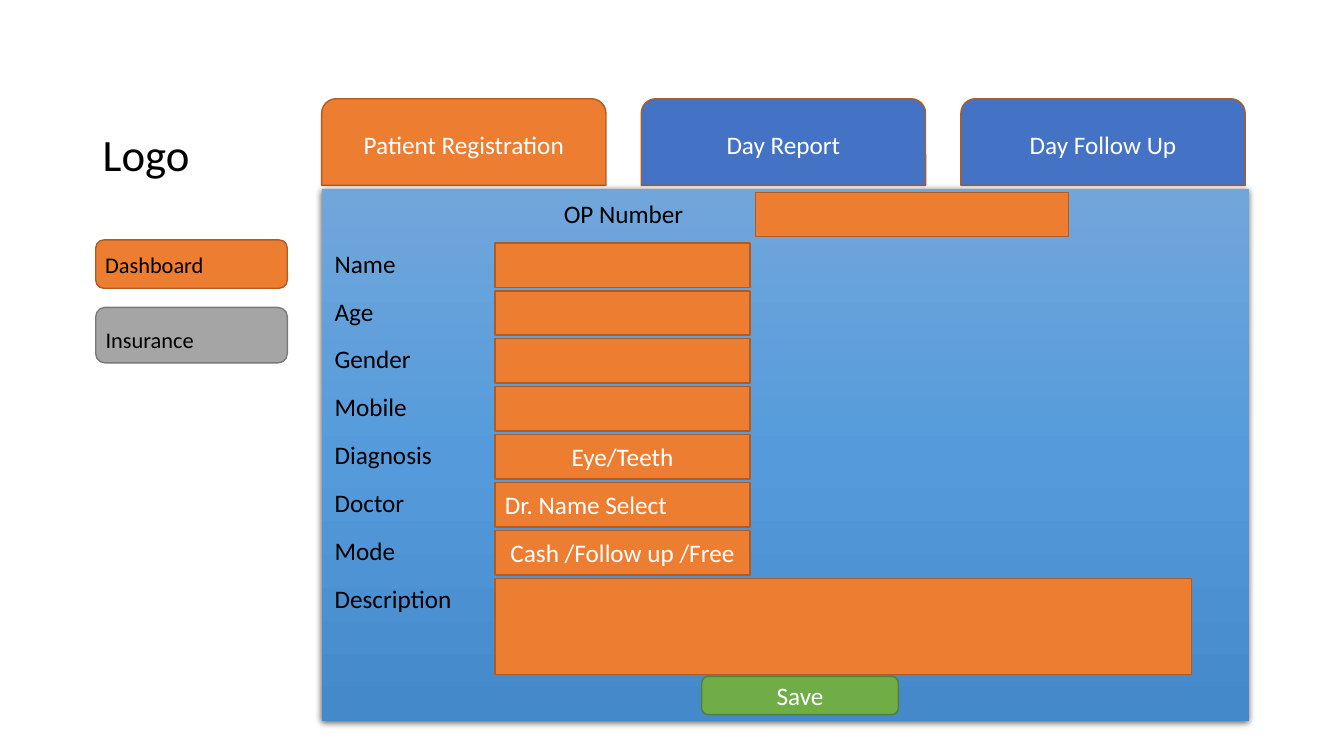
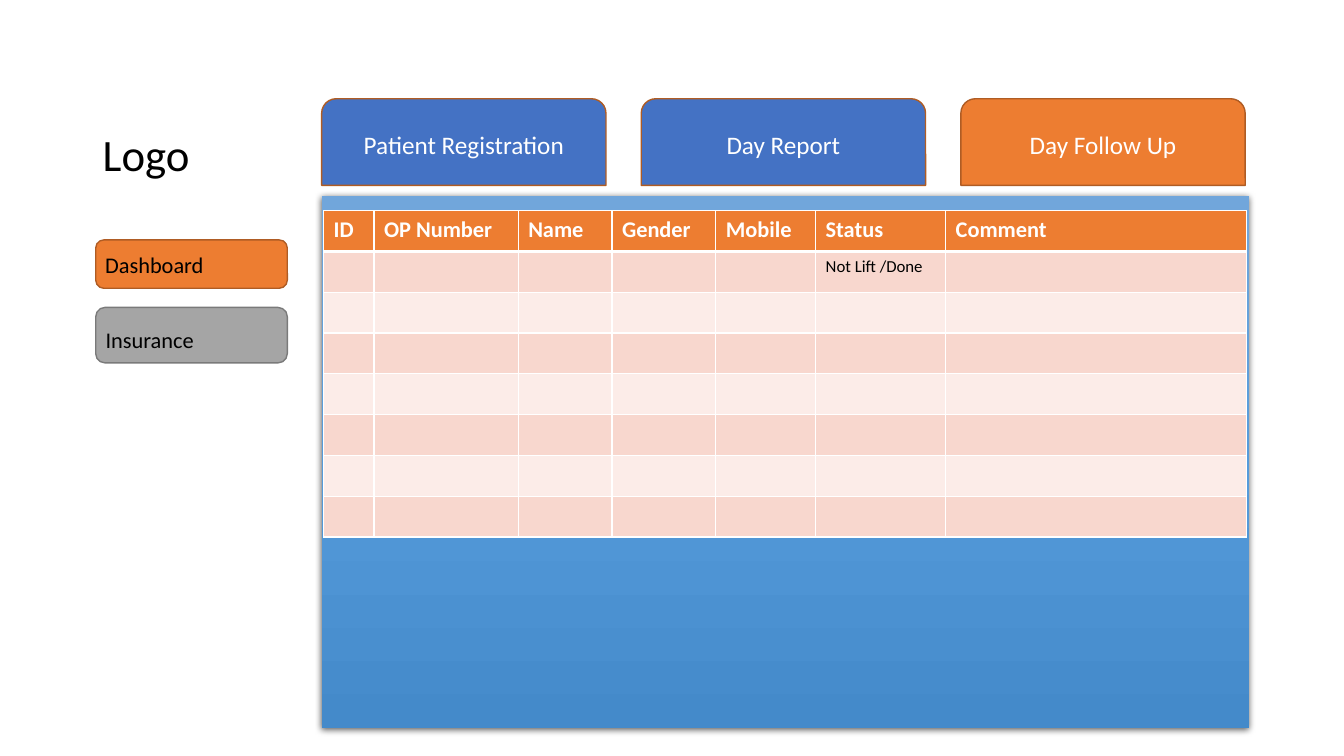
import pptx
import pptx.util
import pptx.dml.color
import pptx.enum.shapes
import pptx.enum.text
import pptx.oxml
import pptx.oxml.ns
from lxml import etree

Inches = pptx.util.Inches
Pt = pptx.util.Pt
SHAPES = pptx.enum.shapes.MSO_SHAPE
ALIGN = pptx.enum.text.PP_ALIGN
ANCHOR = pptx.enum.text.MSO_ANCHOR

FONT = "Calibri"
BLACK, WHITE = "000000", "FFFFFF"
ORANGE, ORANGE_EDGE = "ED7D31", "AF5C24"
BLUE = "4472C4"
GRAY, GRAY_EDGE = "A5A5A5", "7A7A7A"
GREEN, GREEN_EDGE = "70AD47", "538035"
PANEL_STOPS = [(0, "71A6DB"), (50, "559BDB"), (100, "448ACA")]
BAND_FILLS = ["F8D7CE", "FCECE8"]

LOGO = "Logo"
TABS = ["Patient Registration", "Day Report", "Day Follow Up"]
MENU = [
    ("Dashboard", 2.38, 0.48, ORANGE, ORANGE_EDGE, 0.05),
    ("Insurance", 3.05, 0.55, GRAY, GRAY_EDGE, 0.14),
]
FIELDS = [
    ("Name", "", ALIGN.CENTER),
    ("Age", "", ALIGN.CENTER),
    ("Gender", "", ALIGN.CENTER),
    ("Mobile", "", ALIGN.CENTER),
    ("Diagnosis", "Eye/Teeth", ALIGN.CENTER),
    ("Doctor", "Dr. Name Select", ALIGN.LEFT),
    ("Mode", "Cash /Follow up /Free", ALIGN.CENTER),
    ("Description", "", ALIGN.CENTER),
]
FOLLOW_UP_COLUMNS = [
    ("ID", 0.5), ("OP Number", 1.43), ("Name", 0.93), ("Gender", 1.03),
    ("Mobile", 0.99), ("Status", 1.29), ("Comment", 2.98),
]
FOLLOW_UP_ROWS = [{"Status": "Not Lift /Done"}] + [{} for _ in range(6)]

PANEL_LEFT, PANEL_WIDTH, PANEL_HEIGHT = 3.19, 9.2, 5.28
TAB_TOP, TAB_WIDTH, TAB_HEIGHT, TAB_PITCH = 0.98, 2.82, 0.86, 3.17
FIELD_TOP, FIELD_PITCH = 2.41, 3.33 / 7
TABLE_TOP, TABLE_HEIGHT = 2.09, 3.24


def color(value):
    return pptx.dml.color.RGBColor.from_string(value)


def write(frame, text, size=18, ink=WHITE, bold=False, align=ALIGN.LEFT):
    paragraph = frame.paragraphs[0]
    paragraph.alignment = align
    paragraph.font.size = Pt(size)
    if text:
        run = paragraph.add_run()
        run.text = text
        run.font.name = FONT
        run.font.size = Pt(size)
        run.font.bold = bold
        run.font.color.rgb = color(ink)


def add_label(slide, text, left, top, width, height, anchor=ANCHOR.TOP, **style):
    label = slide.shapes.add_textbox(Inches(left), Inches(top), Inches(width), Inches(height))
    label.text_frame.word_wrap = True
    label.text_frame.vertical_anchor = anchor
    write(label.text_frame, text, ink=BLACK, **style)


def add_box(slide, kind, left, top, width, height, fill=ORANGE, edge=ORANGE_EDGE,
            text="", align=ALIGN.CENTER, **style):
    box = slide.shapes.add_shape(kind, Inches(left), Inches(top), Inches(width), Inches(height))
    box.shadow.inherit = False
    box.fill.solid()
    box.fill.fore_color.rgb = color(fill)
    box.line.color.rgb = color(edge)
    box.line.width = Pt(1)
    box.text_frame.vertical_anchor = ANCHOR.MIDDLE
    write(box.text_frame, text, align=align, **style)
    return box


def add_panel(slide, top):
    panel = slide.shapes.add_shape(SHAPES.RECTANGLE, Inches(PANEL_LEFT), Inches(top),
                                   Inches(PANEL_WIDTH), Inches(PANEL_HEIGHT))
    panel.line.fill.background()
    panel.fill.gradient()
    panel.fill.gradient_angle = 270
    properties = panel._element.spPr
    stops = properties.find(".//" + pptx.oxml.ns.qn("a:gsLst"))
    for stop in list(stops):
        stops.remove(stop)
    for position, tint in PANEL_STOPS:
        stop = etree.SubElement(stops, pptx.oxml.ns.qn("a:gs"), pos=str(position * 1000))
        etree.SubElement(stop, pptx.oxml.ns.qn("a:srgbClr"), val=tint)
    panel.shadow.inherit = False
    effects = properties.find(pptx.oxml.ns.qn("a:effectLst"))
    shadow = etree.SubElement(effects, pptx.oxml.ns.qn("a:outerShdw"), blurRad=str(Pt(4.5)),
                              dist=str(Pt(1.5)), dir="5400000", algn="ctr", rotWithShape="0")
    shade = etree.SubElement(shadow, pptx.oxml.ns.qn("a:srgbClr"), val=BLACK)
    etree.SubElement(shade, pptx.oxml.ns.qn("a:alpha"), val="63000")


def add_screen(deck, active_tab, panel_top):
    slide = deck.slides.add_slide(deck.slide_layouts[6])
    for text, top, height, fill, edge, inset_top in MENU:
        button = add_box(slide, SHAPES.ROUNDED_RECTANGLE, 0.95, top, 1.9, height, fill, edge,
                         text, ALIGN.LEFT, size=16, ink=BLACK)
        button.text_frame.margin_left = Inches(0.07)
        button.text_frame.margin_top = Inches(inset_top)
    add_label(slide, LOGO, 0.92, 1.08, 2.05, 0.76, ANCHOR.BOTTOM, size=32)
    for index, text in enumerate(TABS):
        add_box(slide, SHAPES.ROUND_2_SAME_RECTANGLE, PANEL_LEFT + index * TAB_PITCH, TAB_TOP,
                TAB_WIDTH, TAB_HEIGHT, ORANGE if text == active_tab else BLUE, text=text)
    add_panel(slide, panel_top)
    return slide


def add_registration_form(slide):
    add_box(slide, SHAPES.RECTANGLE, 7.49, 1.91, 3.11, 0.44)
    add_label(slide, "OP Number", 5.22, 1.92, 1.93, 0.4, align=ALIGN.CENTER)
    for index, (name, value, align) in enumerate(FIELDS):
        top = FIELD_TOP + index * FIELD_PITCH
        width, height = (6.91, 0.95) if name == "Description" else (2.53, 0.44)
        add_box(slide, SHAPES.RECTANGLE, 4.91, top, width, height, text=value, align=align)
        add_label(slide, name, 3.22, top, 1.39, 0.4)
    add_box(slide, SHAPES.ROUNDED_RECTANGLE, 6.96, 6.71, 1.95, 0.38, GREEN, GREEN_EDGE, "Save")


def set_borders(cell, **widths):
    properties = cell._tc.get_or_add_tcPr()
    for side in "LRTB":
        line = etree.SubElement(properties, pptx.oxml.ns.qn("a:ln" + side),
                                w=str(Pt(widths.get(side, 1))))
        fill = etree.SubElement(line, pptx.oxml.ns.qn("a:solidFill"))
        etree.SubElement(fill, pptx.oxml.ns.qn("a:srgbClr"), val=WHITE)


def fill_cell(cell, fill, text, **style):
    cell.fill.solid()
    cell.fill.fore_color.rgb = color(fill)
    write(cell.text_frame, text, **style)


def add_follow_up_table(slide):
    row_count = len(FOLLOW_UP_ROWS) + 1
    width = sum(column_width for _, column_width in FOLLOW_UP_COLUMNS)
    table = slide.shapes.add_table(row_count, len(FOLLOW_UP_COLUMNS), Inches(3.21),
                                   Inches(TABLE_TOP), Inches(width), Inches(TABLE_HEIGHT)).table
    for row in table.rows:
        row.height = Inches(TABLE_HEIGHT / row_count)
    for column, (heading, column_width) in enumerate(FOLLOW_UP_COLUMNS):
        table.columns[column].width = Inches(column_width)
        header = table.cell(0, column)
        set_borders(header, B=3)
        fill_cell(header, ORANGE, heading, size=16, bold=True)
        for index, record in enumerate(FOLLOW_UP_ROWS):
            cell = table.cell(index + 1, column)
            set_borders(cell, T=1 if index else 3)
            fill_cell(cell, BAND_FILLS[index % 2], record.get(heading, ""), size=12, ink=BLACK)


def main():
    deck = pptx.Presentation()
    deck.slide_width = Inches(13.33)
    deck.slide_height = Inches(7.5)
    add_registration_form(add_screen(deck, "Patient Registration", 1.87))
    add_follow_up_table(add_screen(deck, "Day Follow Up", 1.94))
    deck.save("out.pptx")


if __name__ == "__main__":
    main()
